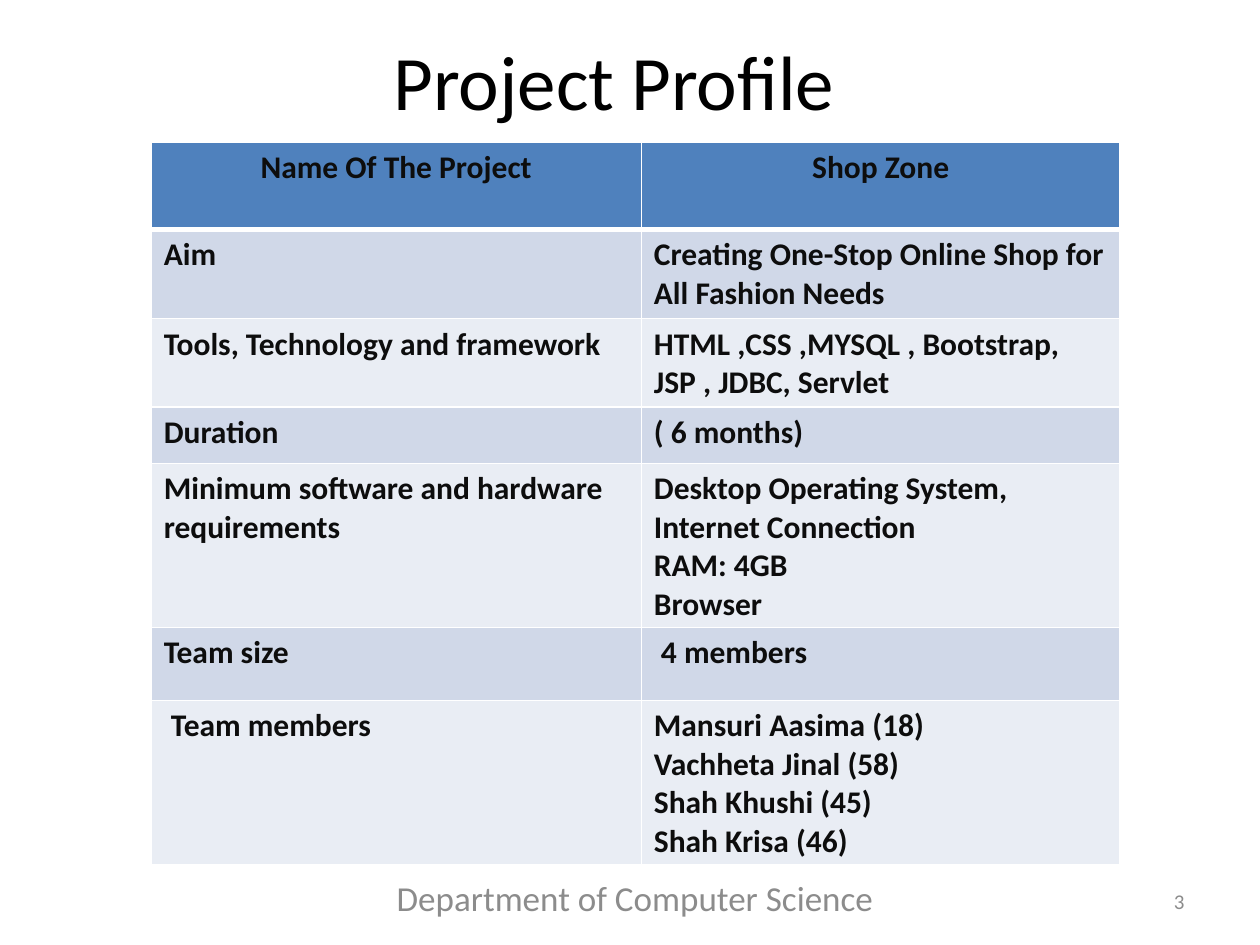
from lxml import etree
from pptx import Presentation
from pptx import util as u
from pptx.dml.color import RGBColor
from pptx.enum import text
from pptx.oxml import ns

BLACK = RGBColor(0x00, 0x00, 0x00)
INK = RGBColor(0x0D, 0x0D, 0x0D)
GRAY = RGBColor(0x8C, 0x8C, 0x8C)
WHITE = RGBColor(0xFF, 0xFF, 0xFF)
HEADER_BLUE = RGBColor(0x4F, 0x81, 0xBD)
BAND_DARK = RGBColor(0xD0, 0xD8, 0xE8)
BAND_LIGHT = RGBColor(0xE9, 0xED, 0xF4)

LEFT, CENTER, RIGHT = (
    text.PP_ALIGN.LEFT, text.PP_ALIGN.CENTER, text.PP_ALIGN.RIGHT)

PROFILE = [
    (["Name Of The Project"], ["Shop Zone"]),
    (["Aim"], ["Creating One-Stop Online Shop for All Fashion Needs"]),
    (["Tools, Technology and framework"],
     ["HTML ,CSS ,MYSQL , Bootstrap,", "JSP , JDBC, Servlet"]),
    (["Duration"], ["( 6 months)"]),
    (["Minimum software and hardware requirements"],
     ["Desktop Operating System,", "Internet Connection", "RAM: 4GB", "Browser"]),
    (["Team size"], [" 4 members"]),
    ([" Team members"],
     ["Mansuri Aasima (18)", "Vachheta Jinal (58)",
      "Shah Khushi (45)", "Shah Krisa (46)"]),
]
COLUMN_WIDTHS = [3.89, 3.8]
ROW_HEIGHTS = [0.69, 0.71, 0.69, 0.45, 1.28, 0.58, 1.28]


class SlideBuilder:
    font_name = "Calibri"

    def __init__(self, slide):
        self.slide = slide

    def add_lines(self, frame, lines, size, color, align, bold=False):
        frame.word_wrap = True
        for index, line in enumerate(lines):
            paragraph = frame.paragraphs[0] if index == 0 else frame.add_paragraph()
            paragraph.alignment = align
            run = paragraph.add_run()
            run.text = line
            run.font.name = self.font_name
            run.font.size = u.Pt(size)
            run.font.bold = bold
            run.font.color.rgb = color

    def title(self, line, left, top, width, height):
        shape = self.slide.shapes.title
        shape.left, shape.top = u.Inches(left), u.Inches(top)
        shape.width, shape.height = u.Inches(width), u.Inches(height)
        shape.text_frame.vertical_anchor = text.MSO_ANCHOR.MIDDLE
        self.add_lines(shape.text_frame, [line], 44, BLACK, CENTER)

    def footer(self, line, left, top, width, height, size, align):
        shape = self.slide.shapes.add_textbox(
            u.Inches(left), u.Inches(top), u.Inches(width), u.Inches(height))
        shape.text_frame.vertical_anchor = text.MSO_ANCHOR.MIDDLE
        self.add_lines(shape.text_frame, [line], size, GRAY, align)

    def borders(self, cell, bottom_width):
        properties = cell._tc.get_or_add_tcPr()
        widths = {"a:lnL": 1, "a:lnR": 1, "a:lnT": 1, "a:lnB": bottom_width}
        for index, (tag, width) in enumerate(widths.items()):
            line = etree.Element(ns.qn(tag), w=str(u.Pt(width)))
            fill = etree.SubElement(line, ns.qn("a:solidFill"))
            etree.SubElement(fill, ns.qn("a:srgbClr"), val=str(WHITE))
            properties.insert(index, line)

    def table(self, rows, left, top, column_widths, row_heights):
        table = self.slide.shapes.add_table(
            len(rows), len(column_widths), u.Inches(left), u.Inches(top),
            u.Inches(sum(column_widths)), u.Inches(sum(row_heights))).table
        for column, width in zip(table.columns, column_widths):
            column.width = u.Inches(width)
        for index, (row, height) in enumerate(zip(table.rows, row_heights)):
            row.height = u.Inches(height)
            is_header = index == 0
            band = BAND_DARK if index % 2 else BAND_LIGHT
            for cell, lines in zip(row.cells, rows[index]):
                cell.fill.solid()
                cell.fill.fore_color.rgb = HEADER_BLUE if is_header else band
                self.borders(cell, 3 if is_header else 1)
                self.add_lines(cell.text_frame, lines, 18, INK,
                               CENTER if is_header else LEFT, bold=True)


def main():
    presentation = Presentation()
    presentation.slide_width = u.Inches(10)
    presentation.slide_height = u.Inches(7.5)
    builder = SlideBuilder(
        presentation.slides.add_slide(presentation.slide_layouts[5]))
    builder.title("Project Profile", 1.63, 0.01, 6.49, 1.25)
    builder.footer("Department of Computer Science", 2.83, 6.92, 4.42, 0.4, 20, CENTER)
    builder.footer("3", 7.17, 6.95, 2.33, 0.4, 12, RIGHT)
    builder.table(PROFILE, 1.2, 1.13, COLUMN_WIDTHS, ROW_HEIGHTS)
    presentation.save("out.pptx")


if __name__ == "__main__":
    main()
